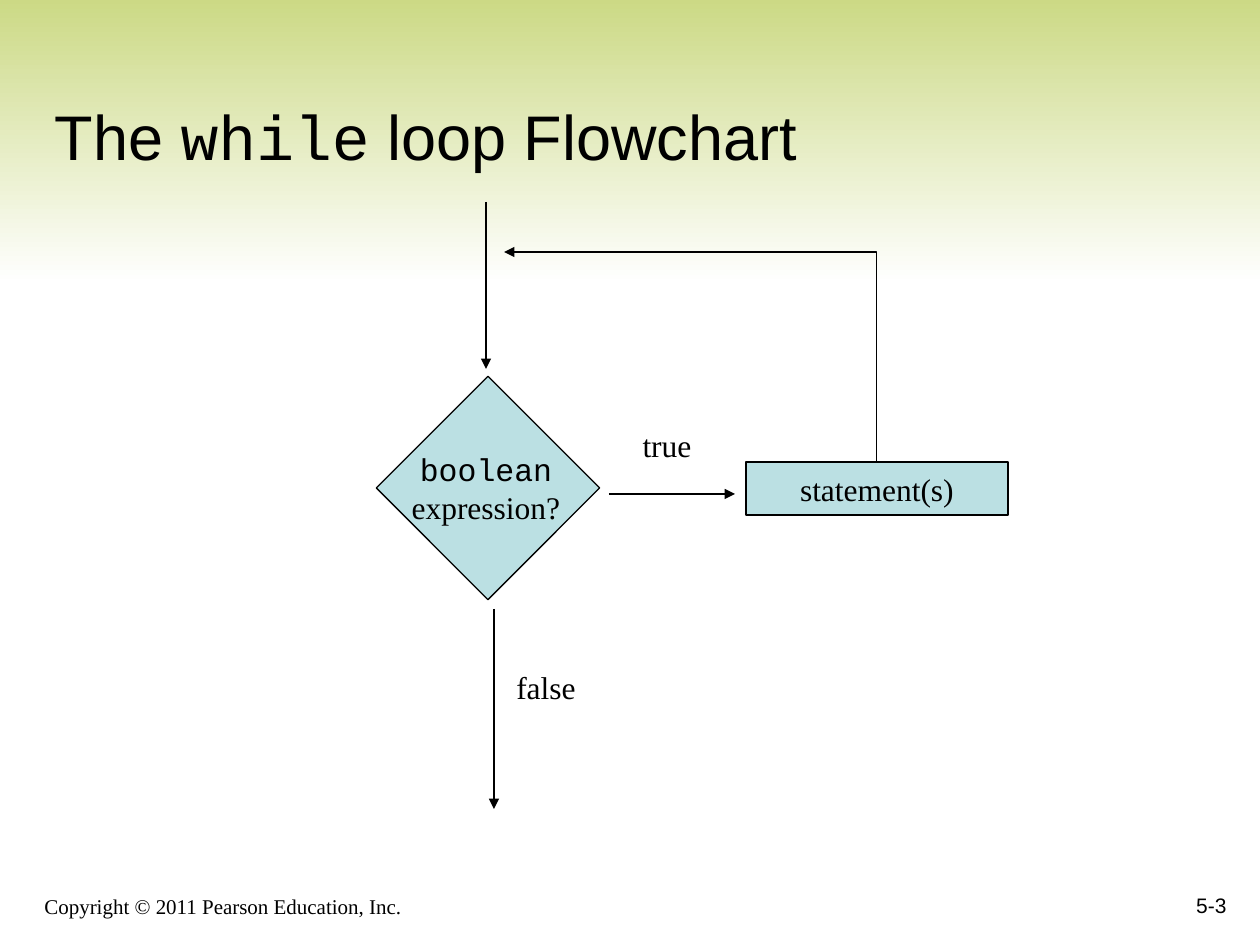
from lxml.etree import SubElement
from pptx import Presentation
from pptx.dml.color import RGBColor
from pptx.enum.shapes import MSO_CONNECTOR as Link, MSO_SHAPE as Shape
from pptx.enum.text import MSO_ANCHOR as Anchor, MSO_AUTO_SIZE as Fit, PP_ALIGN as Align
from pptx.oxml.ns import qn
from pptx.util import Pt

SCALE = 914400 / 126
BLACK, TEAL = "000000", "BBE0E3"
SANS, MONO, SERIF = "Arial", "Courier New", "Times New Roman"


def px(*nums):
    return [round(n * SCALE) for n in nums]


def color(code):
    return RGBColor.from_string(code)


def style(item, **form):
    for name, value in form.items():
        setattr(item, name, value)


def write(shape, lines, size, align=Align.CENTER, **form):
    """Fill a shape with lines, each a list of (text, font) runs."""
    frame = shape.text_frame
    style(frame, **{"word_wrap": False, "auto_size": Fit.NONE, **form})
    for i, runs in enumerate(lines):
        para = frame.add_paragraph() if i else frame.paragraphs[0]
        para.alignment = align
        for text, font in runs:
            run = para.add_run()
            run.text = text
            style(run.font, name=font, size=Pt(size))
            run.font.color.rgb = color(BLACK)


def add_title(slide):
    title = slide.shapes.title
    left, top, width, height = px(42, 42, 1187, 137)
    style(title, left=left, top=top, width=width, height=height)
    runs = [("The ", SANS), ("while", MONO), (" loop Flowchart", SANS)]
    write(title, [runs], 36, Align.LEFT, word_wrap=True,
          vertical_anchor=Anchor.BOTTOM)


def add_band(slide):
    """Put the fading band behind everything else."""
    band = slide.shapes.add_shape(Shape.RECTANGLE, *px(0, -10, 1260, 294))
    band.shadow.inherit = False
    band.line.fill.background()
    band.fill.gradient()
    band.fill.gradient_angle = 270
    for stop, code in zip(band.fill.gradient_stops, ("CAD881", "FFFFFF")):
        stop.color.rgb = color(code)
    slide.shapes._spTree.insert(2, band._element)


def add_box(slide, *area):
    box = slide.shapes.add_shape(Shape.RECTANGLE, *px(*area))
    box.shadow.inherit = False
    box.fill.solid()
    box.fill.fore_color.rgb = color(TEAL)
    box.line.color.rgb = color(BLACK)
    box.line.width = Pt(0.75)
    return box


def add_text(slide, area, lines, size=18, align=Align.CENTER, **form):
    write(slide.shapes.add_textbox(*px(*area)), lines, size, align, **form)


def add_arrow(slide, *ends, kind=Link.STRAIGHT):
    arrow = slide.shapes.add_connector(kind, *px(*ends))
    arrow.line.color.rgb = color(BLACK)
    arrow.line.width = Pt(0.75)
    SubElement(arrow.line._get_or_add_ln(), qn("a:tailEnd"), type="triangle")
    SubElement(arrow._element.spPr, qn("a:effectLst"))
    return arrow


def add_loop(slide):
    """Lead up from the statement, then left to the entry arrow."""
    props = add_arrow(slide, 504, 252, 877, 462, kind=Link.ELBOW)._element.spPr
    props.find(qn("a:xfrm")).set("rot", "10800000")
    geom = props.find(qn("a:prstGeom"))
    guides = geom.find(qn("a:avLst"))
    if guides is None:
        guides = SubElement(geom, qn("a:avLst"))
    SubElement(guides, qn("a:gd"), name="adj1", fmla="val 100")


def main():
    deck = Presentation()
    deck.slide_width, deck.slide_height = px(1260, 945)
    slide = deck.slides.add_slide(deck.slide_layouts[5])

    add_band(slide)
    add_title(slide)
    foot = {"word_wrap": True, "vertical_anchor": Anchor.BOTTOM}
    note = "Copyright © 2011 Pearson Education, Inc."
    add_text(slide, (32, 872, 766, 53), [[(note, SERIF)]], 12, Align.LEFT, **foot)
    add_text(slide, (977, 861, 262, 63), [[("5-3", SANS)]], 12, Align.RIGHT, **foot)

    add_box(slide, 409, 409, 158, 158).rotation = 45
    step = add_box(slide, 746, 462, 262, 53)
    write(step, [[("statement(s)", SERIF)]], 18, vertical_anchor=Anchor.MIDDLE)

    for ends in ((486, 202, 486, 369), (494, 609, 494, 809), (609, 494, 735, 494)):
        add_arrow(slide, *ends)
    add_loop(slide)

    test = [[("boolean", MONO)], [("expression?", SERIF)]]
    add_text(slide, (399, 444, 174, 88), test)
    add_text(slide, (630, 420, 74, 50), [[("true", SERIF)]])
    add_text(slide, (504, 662, 84, 50), [[("false", SERIF)]])
    deck.save("out.pptx")


if __name__ == "__main__":
    main()
